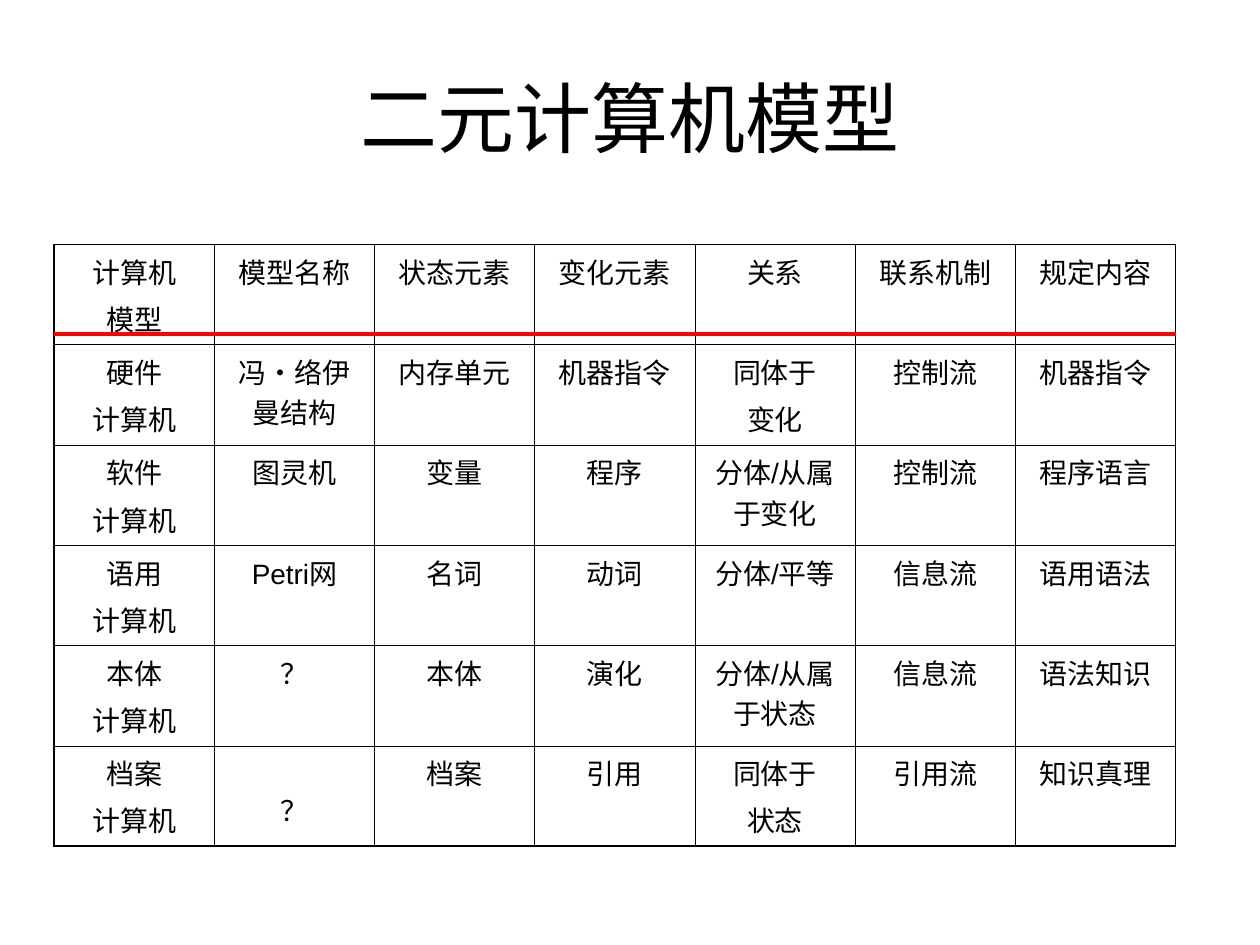
from dataclasses import dataclass

import pptx
import pptx.dml.color
import pptx.enum.shapes
import pptx.enum.text
import pptx.oxml
import pptx.oxml.ns
import pptx.util


@dataclass(frozen=True)
class Theme:
    font: str = "Arial"
    ink: str = "000000"
    accent: str = "FF0000"
    title_size: float = 44
    cell_size: float = 16
    paragraph_gap: float = 4
    inner_border: float = 0.45
    outer_border: float = 1.08
    rule_width: float = 2


@dataclass(frozen=True)
class Box:
    left: float
    top: float
    width: float
    height: float


@dataclass(frozen=True)
class ModelRow:
    height: float
    cells: tuple[str, ...]


THEME = Theme()
SLIDE_WIDTH, SLIDE_HEIGHT = 10, 7.5
TITLE_BOX = Box(0.05, 0.04, 0.9, 1 / 6)
TABLE_LEFT, TABLE_TOP = 0.43, 1.94
TABLE_WIDTH = 8.9
LOWERED_CELL = (5, 1)
LOWERED_MARGIN = 0.34

ROWS = (
    ModelRow(0.71, ("计算机\n模型", "模型名称", "状态元素", "变化元素", "关系", "联系机制", "规定内容")),
    ModelRow(0.78, ("硬件\n计算机", "冯•络伊曼结构", "内存单元", "机器指令", "同体于\n变化", "控制流", "机器指令")),
    ModelRow(0.71, ("软件\n计算机", "图灵机", "变量", "程序", "分体/从属于变化", "控制流", "程序语言")),
    ModelRow(0.71, ("语用\n计算机", "Petri网", "名词", "动词", "分体/平等", "信息流", "语用语法")),
    ModelRow(0.69, ("本体\n计算机", "？", "本体", "演化", "分体/从属于状态", "信息流", "语法知识")),
    ModelRow(0.69, ("档案\n计算机", "？", "档案", "引用", "同体于\n状态", "引用流", "知识真理")),
)


def write_text(text_frame, text: str, size: float, gap: float = 0) -> None:
    for index, line in enumerate(text.split("\n")):
        paragraph = text_frame.add_paragraph() if index else text_frame.paragraphs[0]
        paragraph.alignment = pptx.enum.text.PP_ALIGN.CENTER
        paragraph.space_before = pptx.util.Pt(gap)
        run = paragraph.add_run()
        run.text = line
        run.font.name = THEME.font
        run.font.size = pptx.util.Pt(size)
        run.font.color.rgb = pptx.dml.color.RGBColor.from_string(THEME.ink)


def set_borders(cell, outer_sides: dict[str, bool]) -> None:
    properties = cell._tc.get_or_add_tcPr()
    for index, (side, is_outer) in enumerate(outer_sides.items()):
        width = pptx.util.Pt(THEME.outer_border if is_outer else THEME.inner_border)
        border = pptx.oxml.parse_xml(
            f'<a:ln{side} {pptx.oxml.ns.nsdecls("a")} w="{int(width)}">'
            f'<a:solidFill><a:srgbClr val="{THEME.ink}"/></a:solidFill>'
            f'<a:prstDash val="solid"/></a:ln{side}>'
        )
        properties.insert(index, border)


def add_title(slide, text: str, box: Box) -> None:
    title = slide.shapes.title
    title.left = pptx.util.Inches(box.left * SLIDE_WIDTH)
    title.top = pptx.util.Inches(box.top * SLIDE_HEIGHT)
    title.width = pptx.util.Inches(box.width * SLIDE_WIDTH)
    title.height = pptx.util.Inches(box.height * SLIDE_HEIGHT)
    title.text_frame.vertical_anchor = pptx.enum.text.MSO_ANCHOR.MIDDLE
    write_text(title.text_frame, text, THEME.title_size)


def add_model_table(slide, rows: tuple[ModelRow, ...]) -> None:
    column_count = len(rows[0].cells)
    table = slide.shapes.add_table(
        len(rows),
        column_count,
        pptx.util.Inches(TABLE_LEFT),
        pptx.util.Inches(TABLE_TOP),
        pptx.util.Inches(TABLE_WIDTH),
        pptx.util.Inches(sum(row.height for row in rows)),
    ).table
    table.first_row = False
    table.horz_banding = False
    for row_index, row in enumerate(rows):
        table.rows[row_index].height = pptx.util.Inches(row.height)
        for column_index, text in enumerate(row.cells):
            cell = table.cell(row_index, column_index)
            cell.fill.background()
            if (row_index, column_index) == LOWERED_CELL:
                cell.margin_top = pptx.util.Inches(LOWERED_MARGIN)
            write_text(cell.text_frame, text, THEME.cell_size, THEME.paragraph_gap)
            set_borders(cell, {
                "L": column_index == 0,
                "R": column_index == column_count - 1,
                "T": row_index == 0,
                "B": row_index == len(rows) - 1,
            })


def add_header_rule(slide) -> None:
    height = pptx.util.Inches(TABLE_TOP + ROWS[0].height)
    rule = slide.shapes.add_connector(
        pptx.enum.shapes.MSO_CONNECTOR.STRAIGHT,
        pptx.util.Inches(TABLE_LEFT),
        height,
        pptx.util.Inches(TABLE_LEFT + TABLE_WIDTH),
        height,
    )
    rule.line.color.rgb = pptx.dml.color.RGBColor.from_string(THEME.accent)
    rule.line.width = pptx.util.Pt(THEME.rule_width)
    rule._element.spPr.append(
        pptx.oxml.parse_xml(f'<a:effectLst {pptx.oxml.ns.nsdecls("a")}/>')
    )


def main() -> None:
    presentation = pptx.Presentation()
    presentation.slide_width = pptx.util.Inches(SLIDE_WIDTH)
    presentation.slide_height = pptx.util.Inches(SLIDE_HEIGHT)
    slide = presentation.slides.add_slide(
        presentation.slide_layouts.get_by_name("Title Only")
    )
    add_title(slide, "二元计算机模型", TITLE_BOX)
    add_model_table(slide, ROWS)
    add_header_rule(slide)
    presentation.save("out.pptx")


if __name__ == "__main__":
    main()
